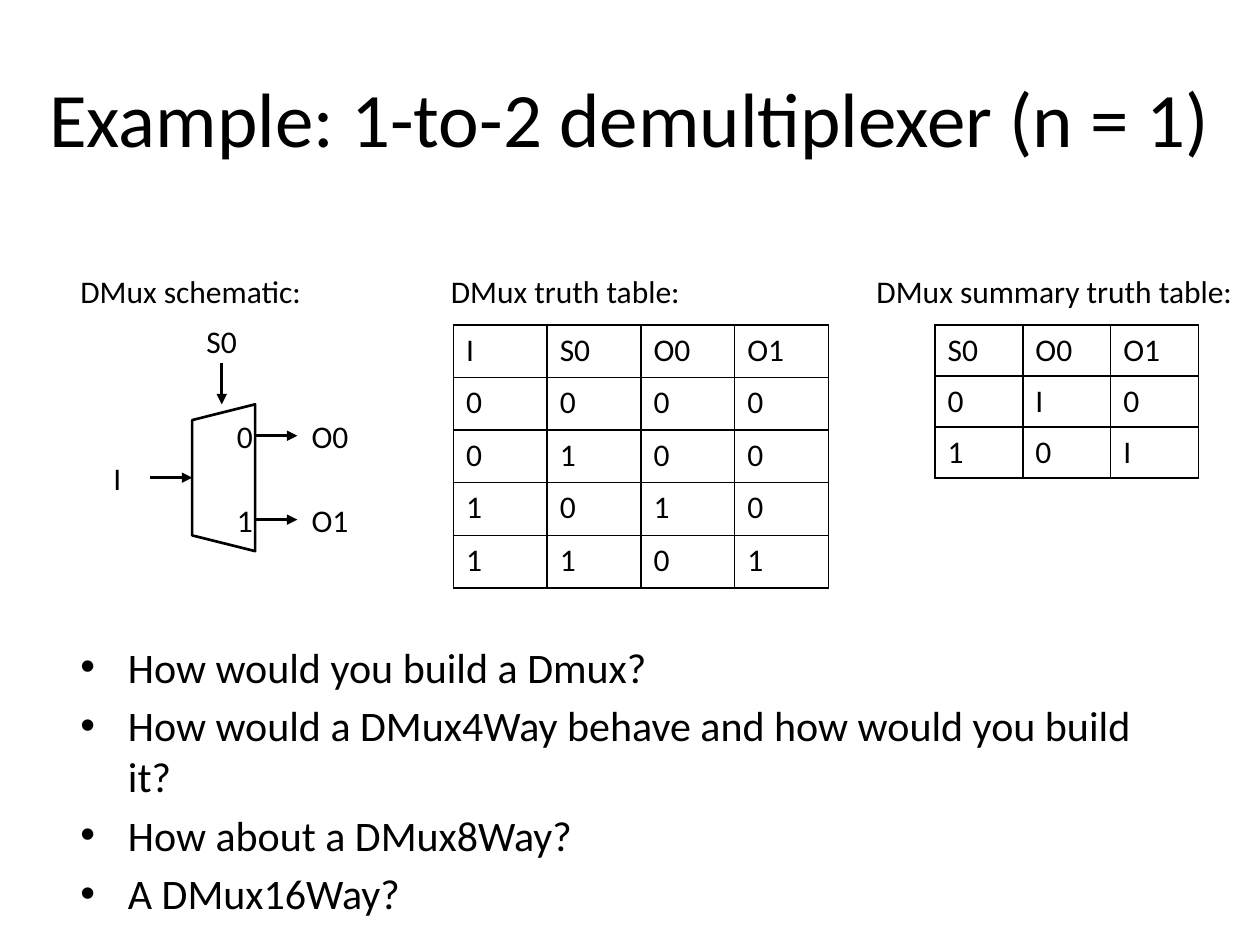
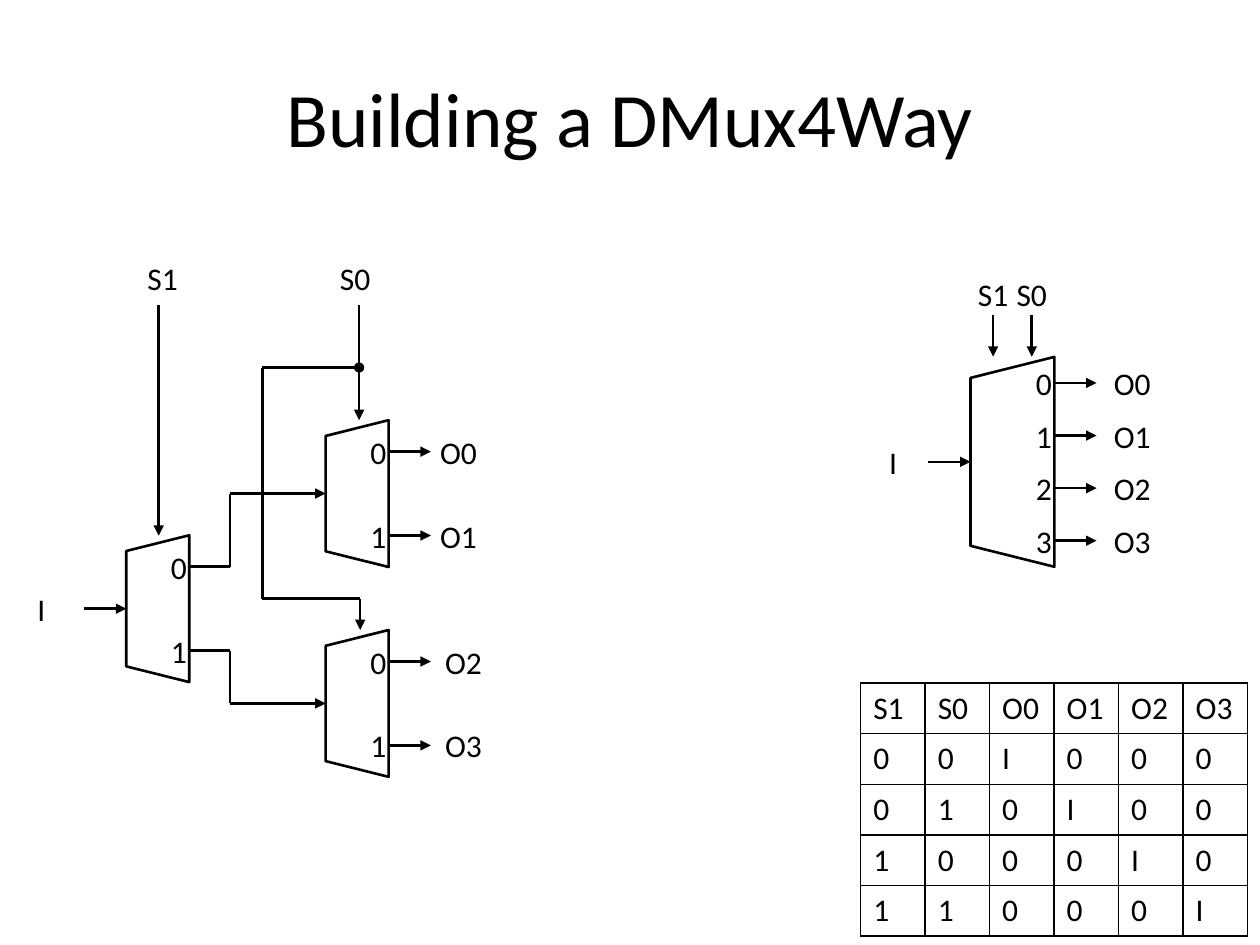
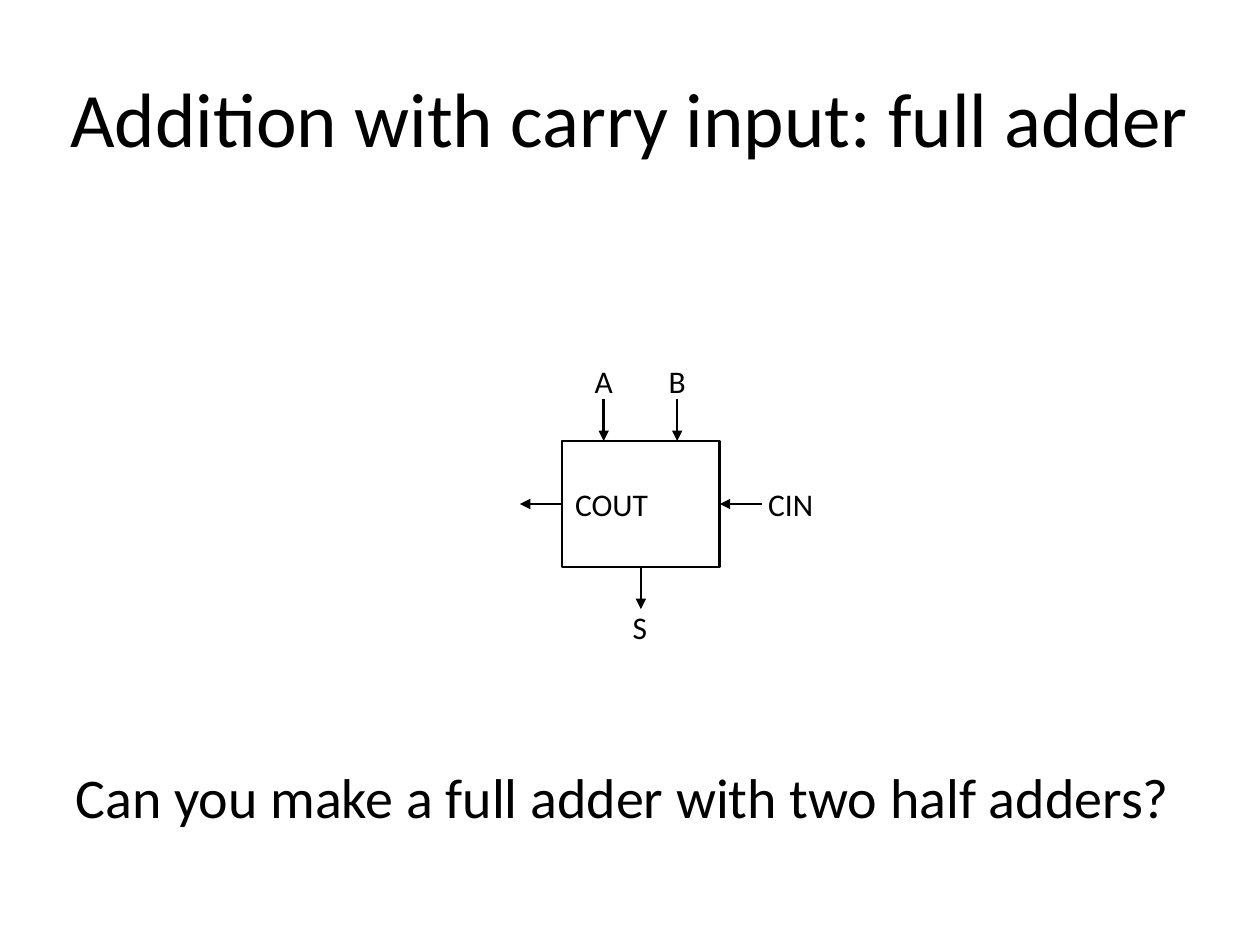
from itertools import pairwise

from lxml import etree
from pptx import Presentation
from pptx.dml.color import RGBColor
from pptx.enum.shapes import MSO_CONNECTOR, MSO_SHAPE
from pptx.enum.text import MSO_ANCHOR, PP_ALIGN
from pptx.oxml.ns import qn
from pptx.util import Cm, Pt

STRAIGHT = MSO_CONNECTOR.STRAIGHT
TRAPEZOID, RECTANGLE, OVAL = MSO_SHAPE.TRAPEZOID, MSO_SHAPE.RECTANGLE, MSO_SHAPE.OVAL
LEFT, CENTER = PP_ALIGN.LEFT, PP_ALIGN.CENTER
TOP, MIDDLE = MSO_ANCHOR.TOP, MSO_ANCHOR.MIDDLE
SIDE_LEFT, SIDE_BOTTOM, SIDE_RIGHT = 1, 2, 3

INK = "000000"
FONT = "Calibri"
SLIDE_WIDTH, SLIDE_HEIGHT = 25.4, 19.05
LINE_WIDTH = Pt(1.5)
LABEL_WIDTH, LABEL_HEIGHT = 1.32, 0.64
ARROW_LENGTH = 0.85
SMALL_DEMUX = {"width": 1.27, "height": 2.96, "pitch": 1.69}
LARGE_DEMUX = {"width": 1.69, "height": 4.23, "pitch": 1.06}


def color(hex_value):
    return RGBColor.from_string(hex_value)


def set_attributes(target, values):
    for name, value in values.items():
        setattr(target, name, value)


def write(paragraph, text, size):
    run = paragraph.add_run()
    run.text = text
    set_attributes(run.font, {"name": FONT, "size": Pt(size)})
    run.font.color.rgb = color(INK)


def add_text(slide, lines, box, size=18, align=LEFT, anchor=MIDDLE, bullets=False):
    """Put one paragraph per line into a box of left, top, width, height in cm."""
    frame = slide.shapes.add_textbox(*map(Cm, box)).text_frame
    set_attributes(frame, {"word_wrap": True, "vertical_anchor": anchor})
    for index, line in enumerate(lines):
        paragraph = frame.add_paragraph() if index else frame.paragraphs[0]
        paragraph.alignment = align
        if index:
            paragraph.space_before = Pt(size * 0.2)
        if bullets:
            properties = paragraph._p.get_or_add_pPr()
            properties.set("marL", str(Cm(0.96)))
            properties.set("indent", str(-Cm(0.96)))
            etree.SubElement(properties, qn("a:buFont"), typeface="Arial")
            etree.SubElement(properties, qn("a:buChar"), char="•")
        write(paragraph, line, size)


def add_title(slide, text, margin=0.43):
    box = (margin, 0.76, SLIDE_WIDTH - 2 * margin, 3.18)
    add_text(slide, [text], box, size=44, align=CENTER)


def add_heading(slide, text, left, width=6.15):
    add_text(slide, [text], (left, 5.33, width, 1.07))


def add_label(slide, text, center_x, center_y, width=LABEL_WIDTH):
    box = (center_x - width / 2, center_y - LABEL_HEIGHT / 2, width, LABEL_HEIGHT)
    add_text(slide, [text], box, align=CENTER)


def add_wire(slide, *points, arrow=False):
    """Join the points with straight lines and return the last one."""
    for start, end in pairwise(points):
        connector = slide.shapes.add_connector(STRAIGHT, *map(Cm, start + end))
        connector.line.width = LINE_WIDTH
        connector.line.color.rgb = color(INK)
        etree.SubElement(connector._element.spPr, qn("a:effectLst"))
    if arrow:
        etree.SubElement(connector.line._get_or_add_ln(), qn("a:tailEnd"), type="triangle")
    return connector


def add_arrow(slide, start, end):
    return add_wire(slide, start, end, arrow=True)


def add_outline(slide, preset, center_x, center_y, width, height, line_width=LINE_WIDTH):
    box = (center_x - width / 2, center_y - height / 2, width, height)
    shape = slide.shapes.add_shape(preset, *map(Cm, box))
    shape.shadow.inherit = False
    shape.fill.background()
    shape.line.width = line_width
    shape.line.color.rgb = color(INK)
    return shape


def add_demux(slide, center_x, center_y, size, outputs, input_label="",
              input_gap=0, output_gap=0):
    """Draw a demultiplexer; an empty output name leaves its port without an arrow."""
    left_edge = center_x - size["width"] / 2
    right_edge = center_x + size["width"] / 2
    body = add_outline(slide, TRAPEZOID, center_x, center_y, size["height"], size["width"])
    body.rotation = 270
    input_start = left_edge - ARROW_LENGTH
    add_arrow(slide, (input_start, center_y), (left_edge, center_y))
    if input_label:
        add_label(slide, input_label, input_start - input_gap - LABEL_WIDTH / 2, center_y)
    for port, output in enumerate(outputs):
        port_y = center_y + (port - (len(outputs) - 1) / 2) * size["pitch"]
        add_label(slide, str(port), right_edge - 0.3, port_y, LABEL_HEIGHT)
        if output:
            arrow_end = right_edge + ARROW_LENGTH
            add_arrow(slide, (right_edge, port_y), (arrow_end, port_y))
            add_label(slide, output, arrow_end + output_gap + LABEL_WIDTH / 2, port_y)


def add_truth_table(slide, rows, left, top, column_width, row_height):
    """Draw a ruled table from rows of space-separated values."""
    grid = [row.split() for row in rows]
    row_count, column_count = len(grid), len(grid[0])
    table = slide.shapes.add_table(
        row_count, column_count, Cm(left), Cm(top),
        Cm(column_width * column_count), Cm(row_height * row_count)).table
    set_attributes(table, {"first_row": False, "horz_banding": False})
    for column in table.columns:
        column.width = Cm(column_width)
    for row, values in zip(table.rows, grid):
        row.height = Cm(row_height)
        for cell, value in zip(row.cells, values):
            write(cell.text_frame.paragraphs[0], value, 18)
            add_borders(cell)
            cell.fill.background()


def add_borders(cell):
    properties = cell._tc.get_or_add_tcPr()
    for side in ("lnL", "lnR", "lnT", "lnB"):
        border = etree.SubElement(properties, qn(f"a:{side}"), w=str(Pt(1)))
        fill = etree.SubElement(border, qn("a:solidFill"))
        etree.SubElement(fill, qn("a:srgbClr"), val=INK)


def build_demux_example(slide):
    add_title(slide, "Example: 1-to-2 demultiplexer (n = 1)")
    add_heading(slide, "DMux schematic:", 1.37)
    add_heading(slide, "DMux truth table:", 8.84)
    add_heading(slide, "DMux summary truth table:", 17.42, 7.98)

    add_demux(slide, 4.51, 9.63, SMALL_DEMUX, ["O0", "O1"], "I")
    add_label(slide, "S0", 4.47, 6.87)
    add_arrow(slide, (4.47, 7.32), (4.47, 8.15))

    add_truth_table(slide, ["I S0 O0 O1", "0 0 0 0", "0 1 0 0", "1 0 1 0", "1 1 0 1"],
                    9.14, 6.55, 1.89, 1.06)
    add_truth_table(slide, ["S0 O0 O1", "0 I 0", "1 0 I"], 18.85, 6.55, 1.77, 1.03)

    questions = [
        "How would you build a Dmux?",
        "How would a DMux4Way behave and how would you build it?",
        "How about a DMux8Way?",
        "A DMux16Way?",
    ]
    add_text(slide, questions, (1.37, 12.8, 22.33, 5.61), size=24, anchor=TOP, bullets=True)


def build_four_way(slide):
    add_title(slide, "Building a DMux4Way", 1.27)

    add_demux(slide, 20.41, 9.31, LARGE_DEMUX, ["O0", "O1", "O2", "O3"], "I",
              input_gap=0.05, output_gap=0.06)
    for name, select_x in (("S1", 20.02), ("S0", 20.8)):
        add_label(slide, name, select_x, 5.93)
        add_arrow(slide, (select_x, 6.35), (select_x, 7.19))

    first_y, upper_y, lower_y = 12.27, 9.95, 14.18
    add_demux(slide, 3.18, first_y, SMALL_DEMUX, ["", ""], "I", input_gap=0.2)
    add_demux(slide, 7.2, upper_y, SMALL_DEMUX, ["O0", "O1"], output_gap=-0.1)
    add_demux(slide, 7.2, lower_y, SMALL_DEMUX, ["O2", "O3"])

    half_pitch = SMALL_DEMUX["pitch"] / 2
    for port_y, target_y in ((first_y - half_pitch, upper_y), (first_y + half_pitch, lower_y)):
        add_wire(slide, (3.81, port_y), (4.64, port_y), (4.64, target_y), (5.93, target_y))

    add_label(slide, "S1", 3.28, 5.6)
    add_arrow(slide, (3.2, 6.15), (3.2, 10.8))
    select_x, branch_y = 7.24, 7.41
    add_label(slide, "S0", 7.16, 5.6)
    add_arrow(slide, (select_x, 6.15), (select_x, 8.47))
    add_wire(slide, (select_x, branch_y), (5.29, branch_y), (5.29, 12.07),
             (7.26, 12.07), (7.26, 12.7), arrow=True)
    junction = add_outline(slide, OVAL, select_x, branch_y, 0.18, 0.18, Pt(0.75))
    junction.fill.solid()
    junction.fill.fore_color.rgb = color(INK)

    rows = ["S1 S0 O0 O1 O2 O3", "0 0 I 0 0 0", "0 1 0 I 0 0", "1 0 0 0 I 0", "1 1 0 0 0 I"]
    add_truth_table(slide, rows, 17.35, 13.77, 1.3, 1.02)


def build_full_adder(slide):
    add_title(slide, "Addition with carry input: full adder")
    center_x, center_y, width, height = 12.92, 10.16, 3.18, 2.54
    left, right = center_x - width / 2, center_x + width / 2
    top, bottom = center_y - height / 2, center_y + height / 2
    adder = add_outline(slide, RECTANGLE, center_x, center_y, width, height)

    for name, input_x in (("A", 12.17), ("B", 13.65)):
        add_label(slide, name, input_x, 7.68)
        add_arrow(slide, (input_x, top - ARROW_LENGTH), (input_x, top))

    sum_arrow = add_arrow(slide, (center_x, bottom), (center_x, bottom + ARROW_LENGTH))
    sum_arrow.begin_connect(adder, SIDE_BOTTOM)
    carry_out = add_arrow(slide, (left, center_y), (left - ARROW_LENGTH, center_y))
    carry_out.begin_connect(adder, SIDE_LEFT)
    carry_in = add_arrow(slide, (right + ARROW_LENGTH, center_y), (right, center_y))
    carry_in.end_connect(adder, SIDE_RIGHT)

    add_label(slide, "S", 12.9, 12.64)
    add_label(slide, "COUT", 12.33, center_y, 2.01)
    add_label(slide, "CIN", 15.94, center_y, 1.55)
    add_text(slide, ["Can you make a full adder with two half adders?"],
             (1.27, 15.24, 22.86, 2.74), size=32, anchor=TOP)


def main():
    presentation = Presentation()
    presentation.slide_width = Cm(SLIDE_WIDTH)
    presentation.slide_height = Cm(SLIDE_HEIGHT)
    blank = presentation.slide_layouts[6]
    for build in (build_demux_example, build_four_way, build_full_adder):
        build(presentation.slides.add_slide(blank))
    presentation.save("out.pptx")


if __name__ == "__main__":
    main()
